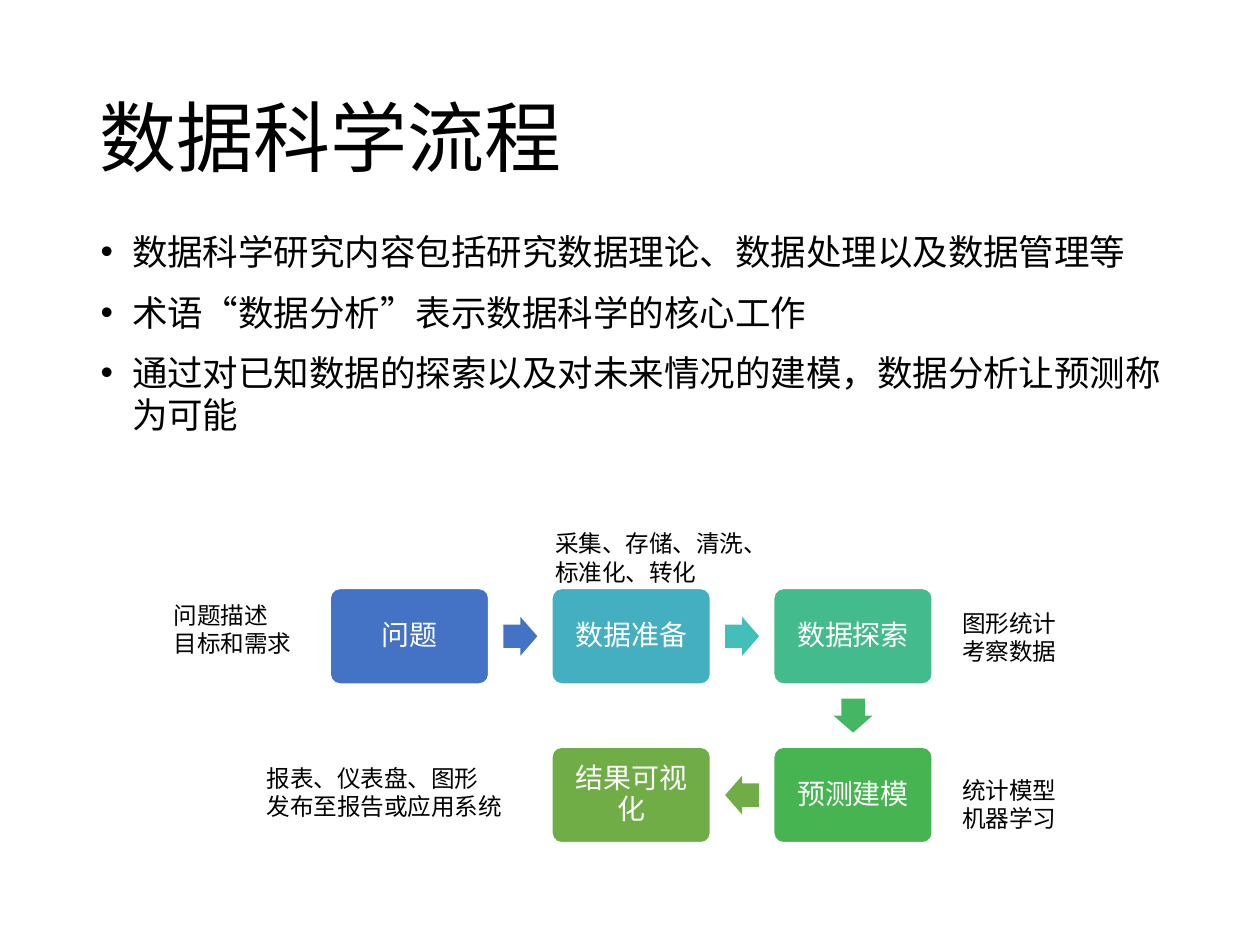
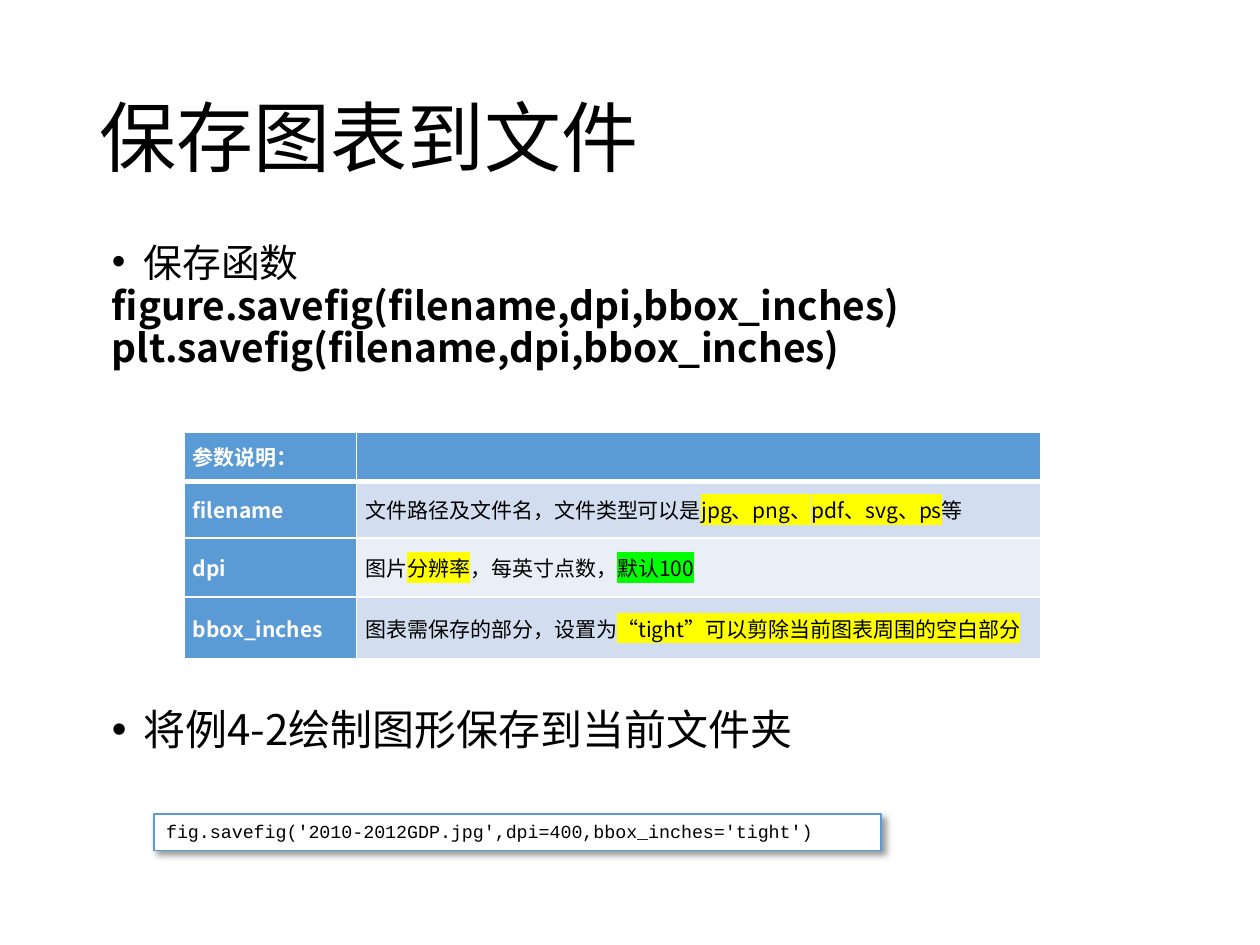
import itertools
import math

import lxml.etree
import pptx
import pptx.dml.color
import pptx.enum.shapes
import pptx.enum.text
import pptx.oxml
import pptx.oxml.ns
import pptx.util

RGBColor = pptx.dml.color.RGBColor
Pt = pptx.util.Pt
Shape = pptx.enum.shapes.MSO_SHAPE
Align = pptx.enum.text.PP_ALIGN
Anchor = pptx.enum.text.MSO_ANCHOR
qn = pptx.oxml.ns.qn

BLACK = RGBColor(0x00, 0x00, 0x00)
WHITE = RGBColor(0xFF, 0xFF, 0xFF)
BLUE = RGBColor(0x5B, 0x9B, 0xD5)
BAND_DARK = RGBColor(0xD2, 0xDE, 0xEF)
BAND_LIGHT = RGBColor(0xEA, 0xEF, 0xF7)
YELLOW = RGBColor(0xFF, 0xFF, 0x00)
GREEN = RGBColor(0x00, 0xFF, 0x00)
STEP_BLUE = RGBColor(0x44, 0x72, 0xC4)
STEP_CYAN = RGBColor(0x43, 0xAF, 0xC0)
STEP_TEAL = RGBColor(0x43, 0xBB, 0x8D)
STEP_GREEN = RGBColor(0x45, 0xB4, 0x51)
STEP_OLIVE = RGBColor(0x70, 0xAD, 0x47)
ARROW_TEAL = RGBColor(0x43, 0xBE, 0xB9)
ARROW_GREEN = RGBColor(0x45, 0xB6, 0x64)

FONT = "Noto Sans CJK SC"
CODE_FONT = "Courier New"
COLUMNS, ROWS = 100, 75
WIDTH, HEIGHT = pptx.util.Inches(10), pptx.util.Inches(7.5)


def columns(count):
    return round(WIDTH * count / COLUMNS)


def rows(count):
    return round(HEIGHT * count / ROWS)


def add_color(parent, tag, color):
    holder = lxml.etree.SubElement(parent, qn(tag))
    return lxml.etree.SubElement(holder, qn("a:srgbClr"), val=str(color))


def write(frame, text, size=13.5, color=BLACK, bold=False, font=FONT, align=Align.LEFT,
          line=None, before=0, bullet=False, margin=0, indent=0):
    """Text is a string, or a list of (string, highlight colour) pairs."""
    first = not frame.text
    para = frame.paragraphs[0] if first else frame.add_paragraph()
    para.alignment = align
    para.line_spacing = line
    para.space_before = Pt(0 if first else before)
    settings = para._p.get_or_add_pPr()
    settings.set("marL", str(columns(margin)))
    settings.set("indent", str(columns(indent)))
    if bullet:
        lxml.etree.SubElement(settings, qn("a:buFont"), typeface="Arial")
        lxml.etree.SubElement(settings, qn("a:buChar"), char="•")
    for words, highlight in [(text, None)] if isinstance(text, str) else text:
        span = para.add_run()
        span.text = words
        span.font.size = Pt(size)
        span.font.bold = bold
        span.font.color.rgb = color
        span.font.name = font
        latin = span._r.rPr.find(qn("a:latin"))
        latin.addnext(latin.makeelement(qn("a:ea"), {"typeface": font}))
        if highlight is not None:
            add_color(span._r.rPr, "a:highlight", highlight)
            latin.addprevious(span._r.rPr[-1])


class SlideBuilder:
    def __init__(self):
        self.deck = pptx.Presentation()
        self.deck.slide_width, self.deck.slide_height = WIDTH, HEIGHT
        self.page = None

    def start(self, title):
        self.page = self.deck.slides.add_slide(self.deck.slide_layouts[5])
        box = self.page.shapes.title
        box.left, box.top = columns(6.9), rows(4)
        box.width, box.height = columns(86.2), rows(14.5)
        frame = box.text_frame
        frame.auto_size = pptx.enum.text.MSO_AUTO_SIZE.NONE
        frame.vertical_anchor = Anchor.MIDDLE
        write(frame, title, size=44, line=0.9)

    def text(self, left, top, width, height, *lines, **style):
        box = self.page.shapes.add_textbox(
            columns(left), rows(top), columns(width), rows(height))
        box.text_frame.word_wrap = True
        for words in lines:
            write(box.text_frame, words, **style)
        return box.text_frame

    def shape(self, kind, left, top, width, height, fill, outline=None):
        box = self.page.shapes.add_shape(
            kind, columns(left), rows(top), columns(width), rows(height))
        box.shadow.inherit = False
        box.fill.solid()
        box.fill.fore_color.rgb = fill
        if outline is None:
            box.line.fill.background()
        else:
            box.line.color.rgb = outline
            box.line.width = Pt(1)
        box.text_frame.word_wrap = True
        return box

    def step(self, center, text, fill):
        width, height = 12.6, 7.6
        box = self.shape(Shape.ROUNDED_RECTANGLE, center[0] - width / 2,
                         center[1] - height / 2, width, height, fill, WHITE)
        box.adjustments[0] = 0.1
        frame = box.text_frame
        frame.margin_left = frame.margin_right = columns(0.7)
        frame.margin_top = frame.margin_bottom = rows(0.7)
        frame.vertical_anchor = Anchor.MIDDLE
        write(frame, text, size=16, color=WHITE, align=Align.CENTER, line=0.9)

    def arrow(self, start, end, fill):
        width, height = 2.7, 3.1
        middle = [(a + b) / 2 for a, b in zip(start, end)]
        box = self.shape(Shape.RIGHT_ARROW, middle[0] - width / 2,
                         middle[1] - height / 2, width, height, fill)
        box.adjustments[0], box.adjustments[1] = 0.6, 0.5
        box.rotation = math.degrees(math.atan2(end[1] - start[1], end[0] - start[0])) % 360

    def code(self, left, top, width, height, text):
        box = self.shape(Shape.RECTANGLE, left, top, width, height, WHITE, BLUE)
        effects = box._element.spPr.find(qn("a:effectLst"))
        shadow = lxml.etree.SubElement(
            effects, qn("a:outerShdw"), blurRad=str(Pt(4)), dist=str(Pt(3)),
            dir=str(45 * 60000), algn="tl", rotWithShape="0")
        shade = lxml.etree.SubElement(shadow, qn("a:srgbClr"), val=str(BLACK))
        lxml.etree.SubElement(shade, qn("a:alpha"), val="40000")
        box.text_frame.vertical_anchor = Anchor.TOP
        write(box.text_frame, text, size=10.5, font=CODE_FONT, margin=4.9, indent=-4.9)

    def table(self, left, top, widths, heights, content):
        grid = self.page.shapes.add_table(
            len(heights), len(widths), columns(left), rows(top),
            columns(sum(widths)), rows(sum(heights))).table
        for column, width in zip(grid.columns, widths):
            column.width = columns(width)
        for row, height in zip(grid.rows, heights):
            row.height = rows(height)
        for y, entries in enumerate(content):
            for x, text in enumerate(entries):
                self.cell(grid.cell(y, x), text, y, heading=y == 0 or x == 0)

    def cell(self, cell, text, row, heading):
        cell.margin_left = cell.margin_right = columns(0.7)
        cell.margin_top = cell.margin_bottom = 0
        cell.vertical_anchor = Anchor.MIDDLE
        cell.fill.solid()
        cell.fill.fore_color.rgb = BLUE if heading else BAND_DARK if row % 2 else BAND_LIGHT
        settings = cell._tc.get_or_add_tcPr()
        thickness = {"L": 1, "R": 1, "T": 3 if row == 1 else 1, "B": 3 if row == 0 else 1}
        for place, (side, width) in enumerate(thickness.items()):
            edge = settings.makeelement(qn("a:ln" + side), {"w": str(Pt(width))})
            add_color(edge, "a:solidFill", WHITE)
            settings.insert(place, edge)
        if text:
            write(cell.text_frame, text, size=12, color=WHITE if heading else BLACK,
                  bold=heading, align=Align.JUSTIFY)


def build_process(builder):
    builder.start("数据科学流程")
    builder.text(7, 17.8, 86.2, 21.6,
                 "数据科学研究内容包括研究数据理论、数据处理以及数据管理等",
                 "术语“数据分析”表示数据科学的核心工作",
                 "通过对已知数据的探索以及对未来情况的建模，数据分析让预测称为可能",
                 size=20.3, line=1.0, before=10, bullet=True, margin=2.5, indent=-2.5)

    steps = [
        ("问题", 0, 0, STEP_BLUE),
        ("数据准备", 1, 0, STEP_CYAN),
        ("数据探索", 2, 0, STEP_TEAL),
        ("预测建模", 2, 1, STEP_GREEN),
        ("结果可视化", 1, 1, STEP_OLIVE),
    ]
    centers = [(32.5 + 17.6 * x, 50.5 + 12.6 * y) for _, x, y, _ in steps]
    for (label, _, _, fill), center in zip(steps, centers):
        builder.step(center, label, fill)
    arrow_fills = [STEP_BLUE, ARROW_TEAL, ARROW_GREEN, STEP_OLIVE]
    for (start, end), fill in zip(itertools.pairwise(centers), arrow_fills):
        builder.arrow(start, end, fill)

    builder.text(12.8, 47.2, 12.7, 5.6, "问题描述", "目标和需求")
    builder.text(43.1, 41.5, 18.7, 5.5, "采集、存储、清洗、标准化、转化")
    builder.text(75.4, 47.8, 11.8, 5.6, "图形统计", "考察数据")
    builder.text(75.4, 61.1, 17.7, 5.5, "统计模型", "机器学习")
    builder.text(20.2, 60.1, 22.9, 5.5, "报表、仪表盘、图形", "发布至报告或应用系统")


def build_saving(builder):
    builder.start("保存图表到文件")
    bullet = {"bullet": True, "margin": 7.5, "indent": -2.5}
    frame = builder.text(2.9, 19.5, 84.3, 11.1, "保存函数", size=22.2, line=0.7, **bullet)
    for owner in ("figure", "plt"):
        write(frame, owner + ".savefig(filename,dpi,bbox_inches)",
              size=22.2, bold=True, line=0.7, before=5.5, margin=5)

    builder.table(14.6, 34.3, [13.7, 54.3], [3.9, 4.5, 4.7, 4.9], [
        ("参数说明：", ""),
        ("filename", [("文件路径及文件名，文件类型可以是", None),
                      ("jpg、png、pdf、svg、ps", YELLOW), ("等", None)]),
        ("dpi", [("图片", None), ("分辨率", YELLOW),
                 ("，每英寸点数，", None), ("默认100", GREEN)]),
        ("bbox_inches", [("图表需保存的部分，设置为", None),
                         ("“tight”可以剪除当前图表周围的空白部分", YELLOW)]),
    ])
    builder.text(2.9, 55.8, 84.3, 6.2, "将例4-2绘制图形保存到当前文件夹",
                 size=24, line=0.9, **bullet)
    builder.code(12.2, 64.6, 57.7, 2.9,
                 "fig.savefig('2010-2012GDP.jpg',dpi=400,bbox_inches='tight')")


def main():
    builder = SlideBuilder()
    build_process(builder)
    build_saving(builder)
    builder.deck.save("out.pptx")


if __name__ == "__main__":
    main()
